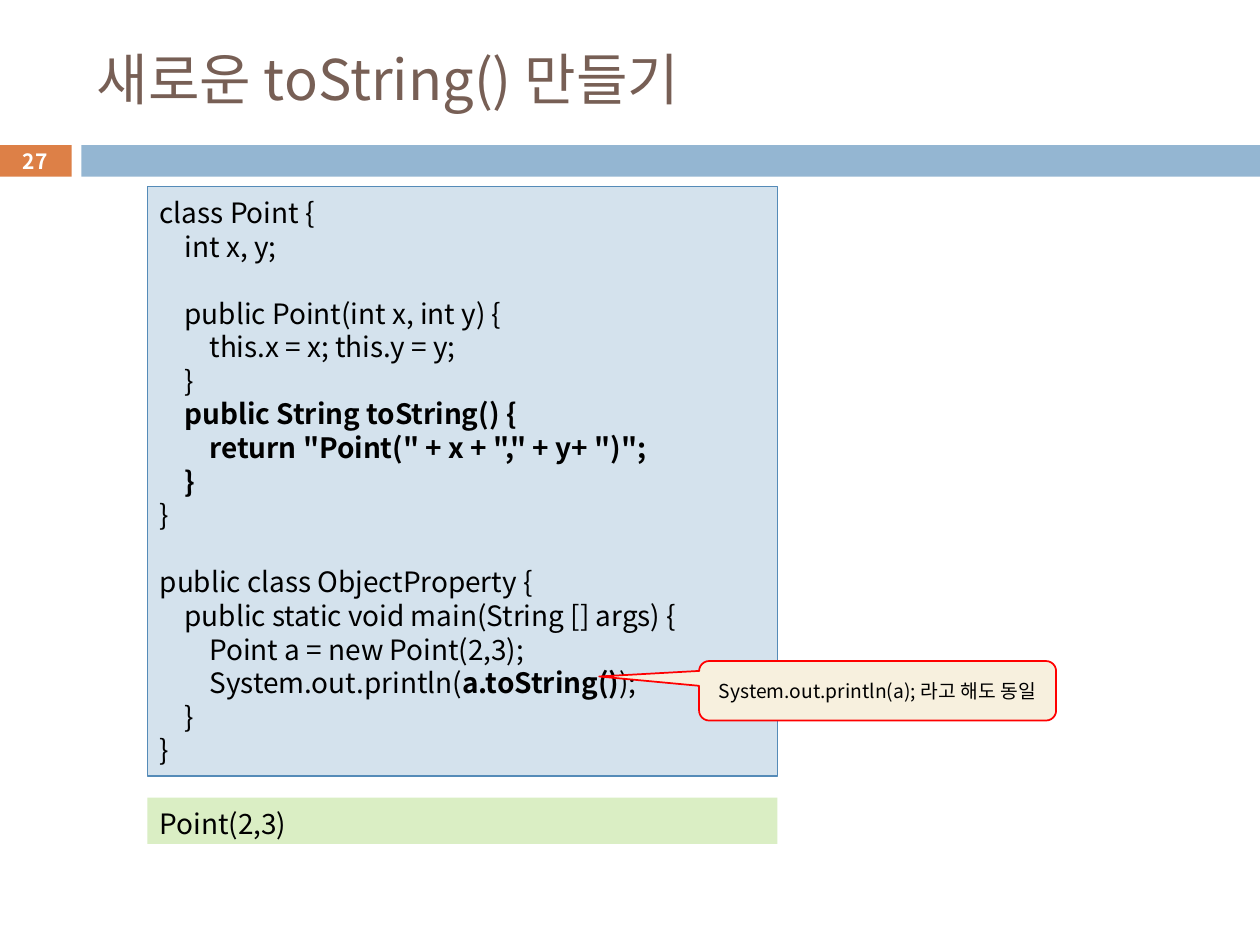
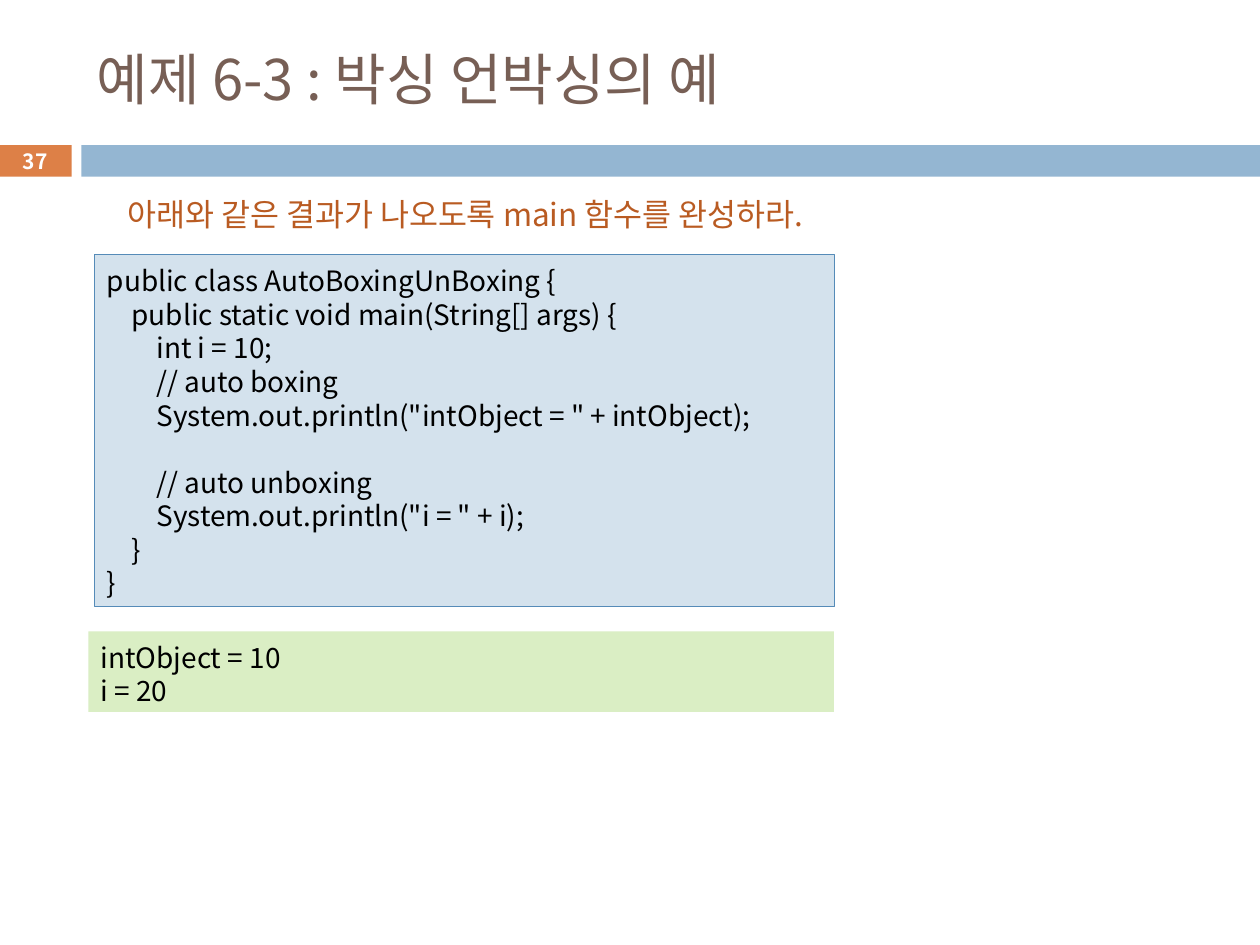
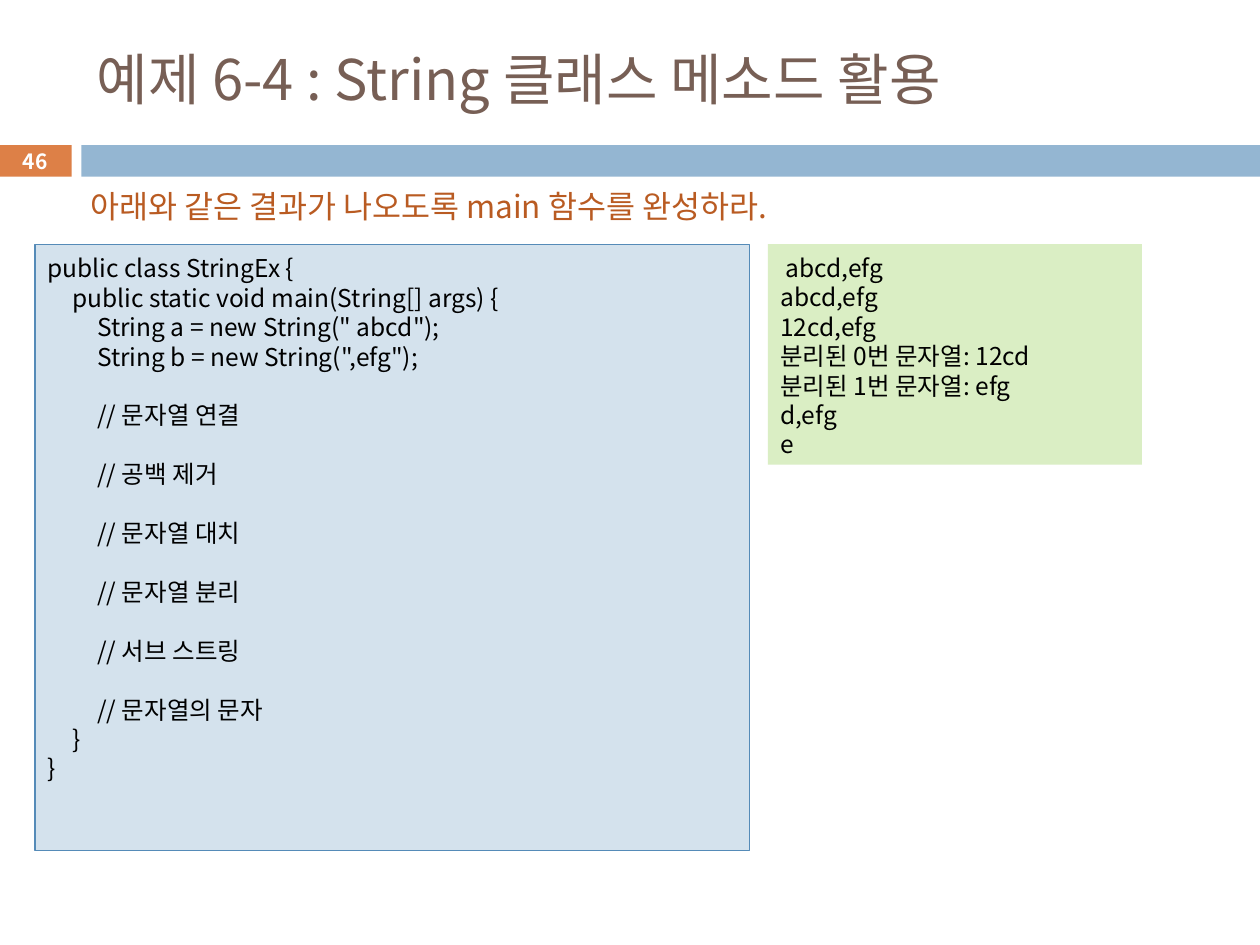
from lxml import etree
from pptx import Presentation
from pptx.dml.color import RGBColor
from pptx.enum.shapes import MSO_SHAPE
from pptx.enum.text import MSO_ANCHOR, PP_ALIGN
from pptx.oxml.ns import qn
from pptx.util import Pt

RECTANGLE = MSO_SHAPE.RECTANGLE
CALLOUT = MSO_SHAPE.ROUNDED_RECTANGULAR_CALLOUT
TOP, MIDDLE = MSO_ANCHOR.TOP, MSO_ANCHOR.MIDDLE
LEFT, CENTER = PP_ALIGN.LEFT, PP_ALIGN.CENTER

FONT = "Noto Sans CJK KR"
BLACK, WHITE, RED = "000000", "FFFFFF", "FF0000"
TITLE_BROWN, TASK_ORANGE = "775F55", "B95B22"
BADGE_ORANGE, BAND_BLUE = "DD8047", "94B6D2"
CODE_FILL, CODE_LINE = "D4E2ED", "558BB8"
OUTPUT_FILL, CALLOUT_FILL = "DAEEC4", "F7F0DE"
LINE_RATIO = 1.2
TAB_STEP = 14.2
TASK = "아래와 같은 결과가 나오도록 main 함수를 완성하라."

POINT_CODE = """class Point {
\tint x, y;
\t
\tpublic Point(int x, int y) {
\t\tthis.x = x; this.y = y;
\t}
\t**public String toString() {**
**\t\treturn "Point(" + x + "," + y+ ")";**
**\t}**
}

public class ObjectProperty {
\tpublic static void main(String [] args) {
\t\tPoint a = new Point(2,3);
\t\tSystem.out.println(**a.toString()**);
\t}
}"""

BOXING_CODE = """public class AutoBoxingUnBoxing {
\tpublic static void main(String[] args) {
\t\tint i = 10;
\t\t// auto boxing
\t\tSystem.out.println("intObject = " + intObject);

\t\t// auto unboxing
\t\tSystem.out.println("i = " + i);
\t}
}"""

STRING_CODE = """public class StringEx {
\tpublic static void main(String[] args) {
\t\tString a = new String(" abcd");
\t\tString b = new String(",efg");

\t\t// 문자열 연결

\t\t// 공백 제거

\t\t// 문자열 대치

\t\t// 문자열 분리

\t\t// 서브 스트링

\t\t// 문자열의 문자
\t}
}"""

STRING_OUTPUT = """ abcd,efg
abcd,efg
12cd,efg
분리된 0번 문자열: 12cd
분리된 1번 문자열: efg
d,efg
e"""


def color(hex_value):
    """Turn a hex string into a colour."""
    return RGBColor.from_string(hex_value)


def add_tab_stops(paragraph, count=2):
    """Give a paragraph evenly spaced tab stops."""
    tab_list = etree.SubElement(paragraph._p.get_or_add_pPr(), qn("a:tabLst"))
    for number in range(1, count + 1):
        tab = etree.SubElement(tab_list, qn("a:tab"))
        tab.set("pos", str(Pt(TAB_STEP * number)))
        tab.set("algn", "l")


def write_text(shape, text, size=16, text_color=BLACK, bold=False,
               align=LEFT, anchor=TOP, tight=False):
    """Write lines into a shape; pairs of ** switch bold on and off."""
    frame = shape.text_frame
    frame.word_wrap = True
    frame.vertical_anchor = anchor
    if tight:
        frame.margin_top, frame.margin_bottom = Pt(3.6 + size * 0.1), Pt(2)
    for number, line in enumerate(text.split("\n")):
        paragraph = frame.add_paragraph() if number else frame.paragraphs[0]
        if "\t" in line:
            add_tab_stops(paragraph)
        paragraph.alignment = align
        if tight:
            paragraph.line_spacing = Pt(size * LINE_RATIO)
        for part, piece in enumerate(line.split("**")):
            if not piece:
                continue
            run = paragraph.add_run()
            run.text = piece
            font = run.font
            font.name, font.size = FONT, Pt(size)
            font.bold = bold or part % 2 == 1
            font.color.rgb = color(text_color)
            east_asian = etree.SubElement(run._r.get_or_add_rPr(), qn("a:ea"))
            east_asian.set("typeface", FONT)


def add_box(slide, left, top, width, height, fill, line=None,
            line_width=0.75, kind=RECTANGLE):
    """Add a filled shape with an optional outline."""
    shape = slide.shapes.add_shape(kind, Pt(left), Pt(top), Pt(width), Pt(height))
    shape.shadow.inherit = False
    shape.fill.solid()
    shape.fill.fore_color.rgb = color(fill)
    if line:
        shape.line.color.rgb = color(line)
        shape.line.width = Pt(line_width)
    else:
        shape.line.fill.background()
    return shape


def add_code(slide, code, left, top, width, height, size=16):
    """Add an outlined code listing."""
    box = add_box(slide, left, top, width, height, CODE_FILL, CODE_LINE)
    write_text(box, code, size=size, tight=True)


def add_output(slide, output, left, top, width, height, size=16):
    """Add a green panel with program output."""
    box = add_box(slide, left, top, width, height, OUTPUT_FILL)
    write_text(box, output, size=size, tight=True)


def add_task(slide, left, top):
    """Add the exercise instruction."""
    box = slide.shapes.add_textbox(Pt(left), Pt(top), Pt(439), Pt(29))
    write_text(box, TASK, size=18, text_color=TASK_ORANGE, tight=True)


def add_callout(slide, text, left, top, width, height):
    """Add a red-edged callout pointing to the left."""
    callout = add_box(slide, left, top, width, height, CALLOUT_FILL, RED, 1, CALLOUT)
    for index, value in enumerate((-0.78, -0.24, 0.17)):
        callout.adjustments[index] = value
    write_text(callout, text, size=11, align=CENTER, anchor=MIDDLE)


def add_page(presentation, title_text, number):
    """Add a slide with its title, band and numbered badge."""
    slide = presentation.slides.add_slide(presentation.slide_layouts[5])
    title = slide.shapes.title
    title.left, title.top, title.width, title.height = Pt(48), Pt(18), Pt(642), Pt(53.5)
    write_text(title, title_text, size=32, text_color=TITLE_BROWN, anchor=MIDDLE)
    add_box(slide, 46.5, 83, 673.5, 18, BAND_BLUE)
    badge = add_box(slide, -0.5, 83, 41.5, 18, BADGE_ORANGE)
    write_text(badge, str(number), size=12, text_color=WHITE, bold=True,
               align=CENTER, anchor=MIDDLE)
    return slide


def main():
    """Build the three lecture slides."""
    presentation = Presentation()
    presentation.slide_width, presentation.slide_height = Pt(720), Pt(540)

    slide = add_page(presentation, "새로운 toString() 만들기", 27)
    add_code(slide, POINT_CODE, 84.25, 106.5, 360, 337)
    add_output(slide, "Point(2,3)", 84.25, 455.75, 360, 26.5)
    add_callout(slide, "System.out.println(a); 라고 해도 동일", 399.5, 377.75, 204, 34)

    slide = add_page(presentation, "예제 6-3 : 박싱 언박싱의 예", 37)
    add_code(slide, BOXING_CODE, 54, 145.5, 422.75, 201)
    add_task(slide, 65.5, 106)
    add_output(slide, "intObject = 10\ni = 20", 50.5, 360.75, 426, 46)

    slide = add_page(presentation, "예제 6-4 : String 클래스 메소드 활용", 46)
    add_code(slide, STRING_CODE, 20, 139.75, 408.5, 346.25, size=14)
    add_task(slide, 44.5, 101.5)
    add_output(slide, STRING_OUTPUT, 438.75, 139.5, 213.75, 126, size=14)

    presentation.save("out.pptx")


if __name__ == "__main__":
    main()
